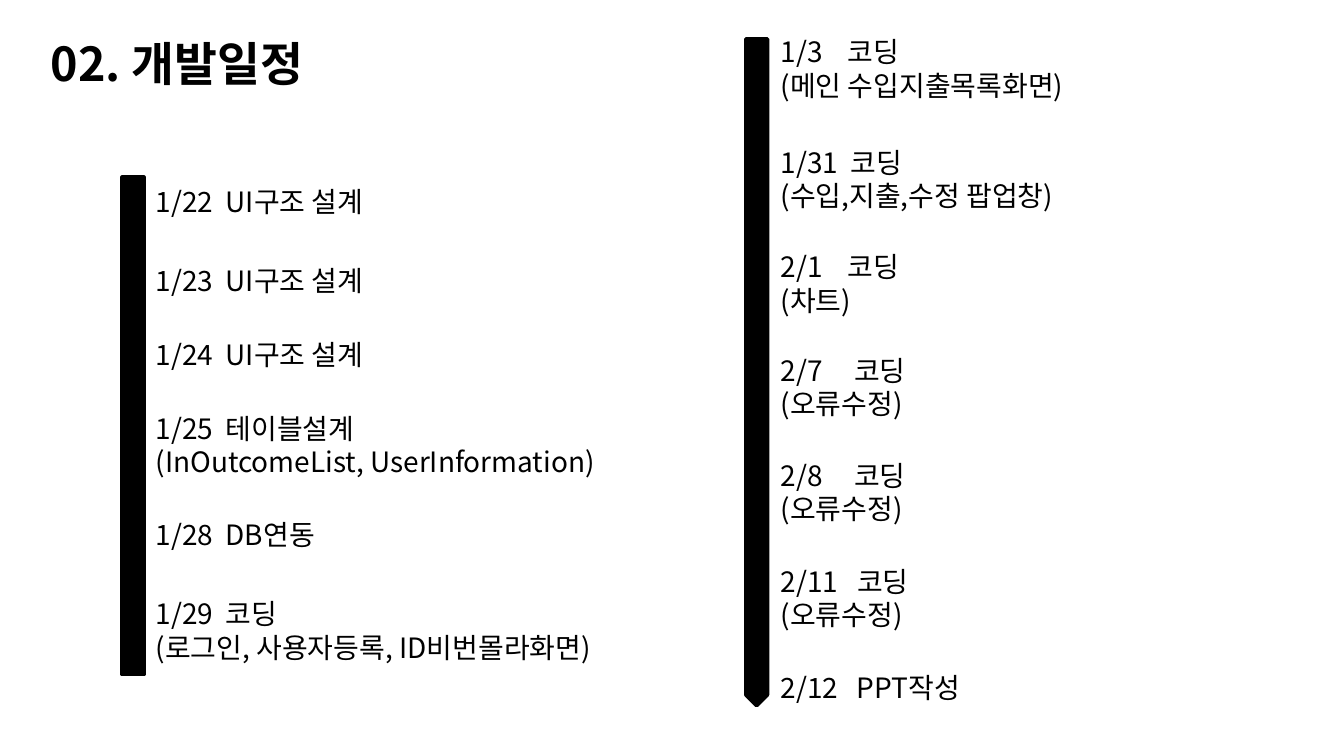
"""Build the development schedule slide with two timeline bars."""
from lxml import etree
from pptx import Presentation
from pptx import util as u
from pptx.dml.color import RGBColor
from pptx.enum import shapes, text
from pptx.oxml import ns

BLACK = RGBColor(0, 0, 0)
WHITE = RGBColor(255, 255, 255)
OUTLINE = RGBColor(0x40, 0x40, 0x40)
FONT = "Noto Sans CJK KR"

LEFT_STEPS = [
    (1.32, 3.15, ["1/22  UI구조 설계"]),
    (1.91, 3.15, ["1/23  UI구조 설계"]),
    (2.46, 3.15, ["1/24  UI구조 설계"]),
    (3.01, 3.54, ["1/25  테이블설계", "(InOutcomeList, UserInformation)"]),
    (3.8, 3.15, ["1/28  DB연동"]),
    (4.39, 3.78, ["1/29  코딩", "(로그인, 사용자등록, ID비번몰라화면)"]),
]
RIGHT_STEPS = [
    (0.21, 3.15, ["1/3    코딩", "(메인 수입지출목록화면)"]),
    (1.03, 3.15, ["1/31  코딩", "(수입,지출,수정 팝업창)"]),
    (1.81, 3.15, ["2/1    코딩", "(차트)"]),
    (2.58, 3.15, ["2/7     코딩", "(오류수정)"]),
    (3.36, 3.15, ["2/8     코딩", "(오류수정)"]),
    (4.15, 3.15, ["2/11   코딩", "(오류수정)"]),
    (4.94, 3.15, ["2/12   PPT작성"]),
]


def add_outline(r):
    """Give a run a thin, partly transparent outline."""
    rpr = r.font._element
    ln = etree.Element(ns.qn("a:ln"), w=str(u.Pt(0.75)))
    fill = etree.SubElement(ln, ns.qn("a:solidFill"))
    color = etree.SubElement(fill, ns.qn("a:srgbClr"), val=str(OUTLINE))
    etree.SubElement(color, ns.qn("a:alpha"), val="70000")
    rpr.insert(0, ln)


def write_text(sp, lines, size=15, bold=False, color=BLACK):
    """Write one paragraph per line into a shape."""
    tf = sp.text_frame
    tf.word_wrap = True
    tf.auto_size = text.MSO_AUTO_SIZE.SHAPE_TO_FIT_TEXT
    tf.vertical_anchor = text.MSO_ANCHOR.TOP
    for i, line in enumerate(lines):
        p = tf.paragraphs[0] if i == 0 else tf.add_paragraph()
        p.alignment = text.PP_ALIGN.LEFT
        r = p.add_run()
        r.text = line
        r.font.size = u.Pt(size)
        r.font.bold = bold
        r.font.color.rgb = color
        r.font.name = FONT
        etree.SubElement(r.font._element, ns.qn("a:ea"), typeface=FONT)
        add_outline(r)


def add_block(s, kind, left, top, width, height, fill):
    """Add a filled preset shape without line or shadow."""
    sp = s.shapes.add_shape(kind, u.Inches(left), u.Inches(top),
                            u.Inches(width), u.Inches(height))
    sp.shadow.inherit = False
    sp.fill.solid()
    sp.fill.fore_color.rgb = fill
    sp.line.fill.background()
    return sp


def add_steps(s, left, steps):
    """Add a column of dated schedule entries."""
    for top, width, lines in steps:
        height = 0.35 if len(lines) == 1 else 0.61
        sp = add_block(s, shapes.MSO_SHAPE.RECTANGLE, left, top, width, height, WHITE)
        write_text(sp, lines)


def add_bar(s, kind, left, top, width, height, rotation=0):
    """Add a black timeline bar."""
    sp = add_block(s, kind, left, top, width, height, BLACK)
    sp.line.color.rgb = BLACK
    sp.line.width = u.Pt(2)
    sp.rotation = rotation


def main():
    """Build and save the slide."""
    prs = Presentation()
    prs.slide_width = u.Inches(10)
    prs.slide_height = u.Inches(10 * 9 / 16)
    s = prs.slides.add_slide(prs.slide_layouts[6])
    title = s.shapes.add_textbox(u.Inches(0.28), u.Inches(0.21),
                                 u.Inches(2.52), u.Inches(0.52))
    write_text(title, ["02. 개발일정"], size=25, bold=True)
    add_steps(s, 1.06, LEFT_STEPS)
    add_steps(s, 5.71, RIGHT_STEPS)
    add_bar(s, shapes.MSO_SHAPE.RECTANGLE, 0.91, 1.32, 0.16, 3.7)
    add_bar(s, shapes.MSO_SHAPE.PENTAGON, 3.15, 2.69, 4.96, 0.16, rotation=90)
    prs.save("out.pptx")


if __name__ == "__main__":
    main()
